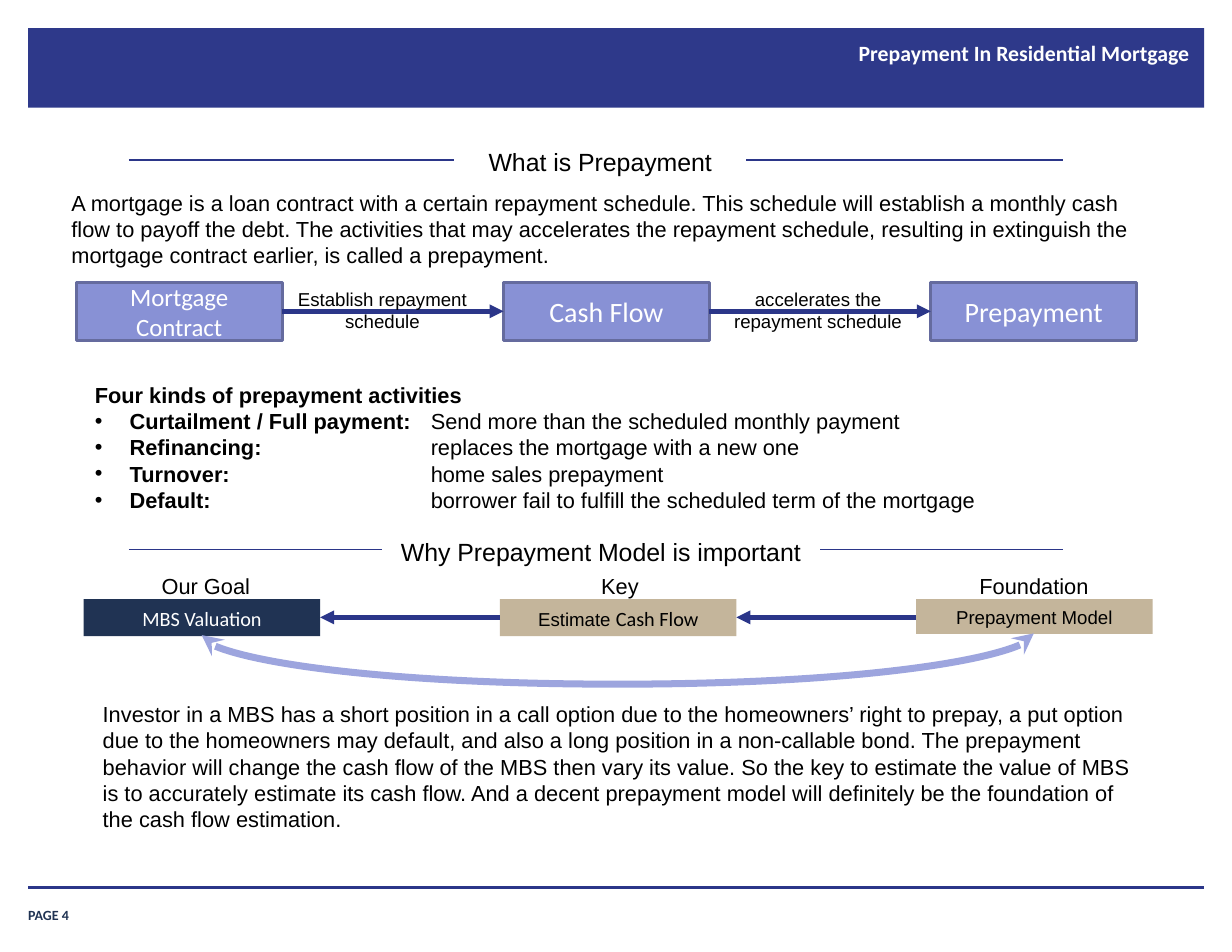
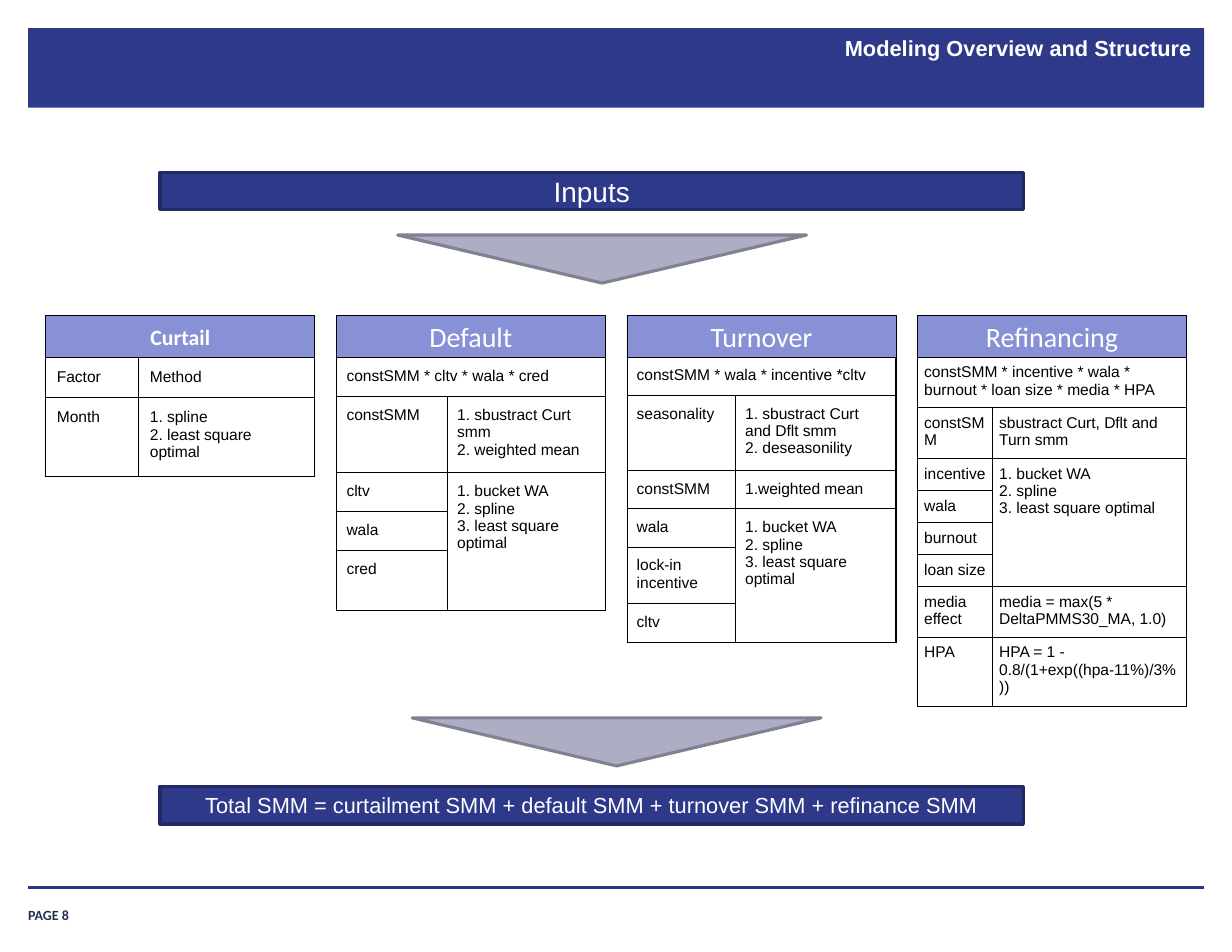
from dataclasses import dataclass
from typing import NamedTuple, Optional

from lxml.etree import SubElement
from pptx import Presentation
from pptx.dml.color import RGBColor as Rgb
from pptx.enum.shapes import MSO_CONNECTOR as Link, MSO_SHAPE as Kind
from pptx.enum.text import MSO_ANCHOR as Anchor, PP_ALIGN as Align
from pptx.oxml.ns import qn
from pptx.util import Cm, Pt


@dataclass(frozen=True)
class Theme:
    band: str = "2E398A"
    rule: str = "2B3689"
    edge: str = "222A66"
    navy: str = "203353"
    lilac: str = "8891D5"
    slate: str = "656B9E"
    arc: str = "9DA5DE"
    sand: str = "C4B59B"
    gray: str = "ADAEC4"
    rim: str = "808191"
    white: str = "FFFFFF"
    black: str = "000000"
    sans: str = "Arial"
    alt: str = "Calibri"
    tiny: float = 9
    cell: float = 10
    note: float = 12
    tag: float = 13
    body: float = 14
    head: float = 16
    big: float = 18


T = Theme()


class Area(NamedTuple):
    x: float
    y: float
    w: float
    h: float

    def emu(self) -> list:
        return [Cm(v) for v in self]


class Look(NamedTuple):
    fill: str
    line: Optional[str] = None
    width: float = 2


class Grid(NamedTuple):
    name: str
    size: float
    bold: bool
    left: float
    inset: float
    rows: list  # height, left cell, right cell (None joins the one above)


PLAIN = (0.25, 0.13)
WIDE = (0.28, 0.15)


# Text: a string holds lines; a list holds lines made of (text, changes) runs
def write(frame, text, *, font=T.sans, size=T.body, color=T.black, bold=False,
          align=Align.LEFT, anchor=Anchor.TOP, inset=PLAIN, bullet=0, tab=0):
    frame.word_wrap = True
    frame.vertical_anchor = anchor
    frame.margin_left = frame.margin_right = Cm(inset[0])
    frame.margin_top = frame.margin_bottom = Cm(inset[1])
    lines = text if isinstance(text, list) else [[(s, {})] for s in text.split("\n")]
    base = dict(font=font, size=size, color=color, bold=bold)
    for i, runs in enumerate(lines):
        para = frame.paragraphs[0] if i == 0 else frame.add_paragraph()
        para.alignment = align
        if bullet and i:
            mark(para, bullet, tab)
        for part, extra in runs:
            run, fmt = para.add_run(), {**base, **extra}
            run.text = part
            run.font.name, run.font.size = fmt["font"], Pt(fmt["size"])
            run.font.bold = fmt["bold"]
            run.font.color.rgb = Rgb.from_string(fmt["color"])


def mark(para, indent: float, tab: float):
    props = para._p.get_or_add_pPr()
    props.set("marL", str(Cm(indent)))
    props.set("indent", str(-Cm(indent)))
    SubElement(props, qn("a:buFont"), typeface=T.sans)
    SubElement(props, qn("a:buChar"), char="•")
    tabs = SubElement(props, qn("a:tabLst"))
    SubElement(tabs, qn("a:tab"), pos=str(Cm(tab)), algn="l")


def label(slide, area: Area, text, **fmt):
    write(slide.shapes.add_textbox(*area.emu()).text_frame, text, **fmt)


# Shapes and lines
def box(slide, area: Area, look: Look, text="", kind=Kind.RECTANGLE, **fmt):
    shape = slide.shapes.add_shape(kind, *area.emu())
    shape.shadow.inherit = False
    shape.fill.solid()
    shape.fill.fore_color.rgb = Rgb.from_string(look.fill)
    if look.line:
        shape.line.color.rgb = Rgb.from_string(look.line)
        shape.line.width = Pt(look.width)
    else:
        shape.line.fill.background()
    if text:
        write(shape.text_frame, text, **{"align": Align.CENTER, **fmt})
    return shape


def line(slide, start, end, width: float, color=T.rule, kind=Link.STRAIGHT,
         head="", tail=""):
    link = slide.shapes.add_connector(kind, *[Cm(v) for v in (*start, *end)])
    link.line.color.rgb = Rgb.from_string(color)
    link.line.width = Pt(width)
    props = link.element.spPr
    for tag, tip in (("a:headEnd", head), ("a:tailEnd", tail)):
        if tip:
            SubElement(props.find(qn("a:ln")), qn(tag), type=tip)
    SubElement(props, qn("a:effectLst"))
    return link


def arrow(slide, x1: float, x2: float, y: float):
    line(slide, (x1, y), (x2, y), 3, tail="triangle")


def bow(slide):
    # A curve turned a quarter, so its bend hangs below both ends
    link = line(slide, (13.99, 4.95), (14.03, 23.82), 4.5, T.arc, Link.CURVE,
                "stealth", "stealth")
    props = link.element.spPr
    props.find(qn("a:xfrm")).set("rot", "5400000")
    geom = props.find(qn("a:prstGeom"))
    bends = geom.find(qn("a:avLst"))
    if bends is None:
        bends = SubElement(geom, qn("a:avLst"))
    SubElement(bends, qn("a:gd"), name="adj1", fmla="val 2880200")


# Tables
def frame_cell(cell):
    cell.fill.background()
    props = cell._tc.get_or_add_tcPr()
    for i, side in enumerate(("a:lnL", "a:lnR", "a:lnT", "a:lnB")):
        edge = SubElement(props, qn(side), w=str(Pt(0.75)))
        fill = SubElement(edge, qn("a:solidFill"))
        SubElement(fill, qn("a:srgbClr"), val=T.black)
        props.insert(i, edge)


def card(slide, x: float, grid: Grid):
    wide, top = 6.1, 8.1
    box(slide, Area(x, 7.16, wide, 0.94), Look(T.lilac, T.black, 0.5), grid.name,
        font=T.alt, size=grid.size, color=T.white, bold=grid.bold,
        anchor=Anchor.MIDDLE)
    high = sum(row[0] for row in grid.rows)
    table = slide.shapes.add_table(len(grid.rows), 2,
                                   *Area(x, top, wide, high).emu()).table
    table.first_row = table.horz_banding = False
    table.columns[0].width = Cm(grid.left)
    table.columns[1].width = Cm(wide - grid.left)
    spans = {}
    start = 0
    for r, (tall, *texts) in enumerate(grid.rows):
        table.rows[r].height = Cm(tall)
        for c in range(2):
            cell = table.cell(r, c)
            frame_cell(cell)
            if c < len(texts) and texts[c]:
                write(cell.text_frame, texts[c], size=T.cell)
                cell.margin_left = cell.margin_right = Cm(grid.inset)
                cell.margin_top = cell.margin_bottom = Cm(grid.inset)
        if len(texts) == 1:
            table.cell(r, 0).merge(table.cell(r, 1))
        elif texts[1]:
            start = r
        else:
            spans[start] = r
    for first, last in spans.items():
        table.cell(first, 1).merge(table.cell(last, 1))


# Shared page: band, title, footer
def page(deck, number: int, title: str, area: Area, font: str):
    slide = deck.slides.add_slide(deck.slide_layouts[6])
    box(slide, Area(0.64, 0.64, 26.67, 1.8), Look(T.band))
    label(slide, Area(0.64, 20.37, 2.31, 0.58), f"PAGE {number}", font=T.alt,
          size=T.tiny, color=T.navy, bold=True, anchor=Anchor.BOTTOM, inset=(0, 0))
    line(slide, (0.64, 20.12), (27.31, 20.12), 2)
    label(slide, area, title, font=font, color=T.white, bold=True,
          align=Align.RIGHT, inset=WIDE)
    return slide


def section(slide, x: float, y: float, wide: float, text: str):
    line(slide, (2.92, y + 0.43), (24.1, y + 0.43), 0.75)
    box(slide, Area(x, y, wide, 0.94), Look(T.white, T.white), text, size=T.head)


LOAN = ("A mortgage is a loan contract with a certain repayment schedule. This schedule "
        "will establish a monthly cash flow to payoff the debt. The activities that may "
        "accelerates the repayment schedule, resulting in extinguish the mortgage contract "
        "earlier, is called a prepayment.")
VALUE = ("Investor in a MBS has a short position in a call option due to the homeowners’ "
         "right to prepay, a put option due to the homeowners may default, and also a long "
         "position in a non-callable bond. The prepayment behavior will change the cash flow "
         "of the MBS then vary its value. So the key to estimate the value of MBS is to "
         "accurately estimate its cash flow. And a decent prepayment model will definitely "
         "be the foundation of the cash flow estimation.")
KINDS = [("Curtailment / Full payment:", "Send more than the scheduled monthly payment"),
         ("Refinancing:", "replaces the mortgage with a new one"),
         ("Turnover:", "home sales prepayment"),
         ("Default:", "borrower fail to fulfill the scheduled term of the mortgage")]
FLOW = [("Mortgage Contract", T.head), ("Cash Flow", T.big), ("Prepayment", T.big)]
STEPS = ["Establish repayment schedule", "accelerates the repayment schedule"]
CHAIN = [
    ("Our Goal", T.navy, 0.84,
     [("MBS Valuation", dict(font=T.alt, size=T.tag, color=T.white))]),
    ("Key", T.sand, 0.84,
     [("Estimate ", {}), ("Cash Flow", dict(font=T.alt, size=T.tag))]),
    ("Foundation", T.sand, 0.79, [("Prepayment Model", {})]),
]
FIT = "1. bucket WA\n2. spline\n3. least square optimal"
GRIDS = [
    Grid("Curtail", T.body, True, 2.11, 0.25, [
        (0.91, "Factor", "Method"),
        (1.7, "Month", "1. spline\n2. least square optimal")]),
    Grid("Default", T.big, False, 2.51, 0.23, [
        (0.88, "constSMM * cltv * wala * cred"),
        (1.63, "constSMM", "1. sbustract Curt smm\n2. weighted mean"),
        (0.84, "cltv", FIT), (0.84, "wala", None), (1.36, "cred", None)]),
    Grid("Turnover", T.big, False, 2.46, 0.22, [
        (0.79, "constSMM * wala * incentive *cltv"),
        (1.63, "seasonality", "1. sbustract Curt and Dflt smm\n2. deseasonility"),
        (0.82, "constSMM", "1.weighted mean"),
        (0.83, "wala", FIT), (1.2, "lock-in incentive", None), (0.84, "cltv", None)]),
    Grid("Refinancing", T.big, False, 1.7, 0.15, [
        (1.07, "constSMM * incentive * wala * burnout * loan size * media * HPA"),
        (1.07, "constSMM", "sbustract Curt, Dflt and Turn smm"),
        (0.69, "incentive", FIT), (0.69, "wala", None), (0.69, "burnout", None),
        (0.69, "loan size", None),
        (1.07, "media effect", "media = max(5 * DeltaPMMS30_MA, 1.0)"),
        (1.47, "HPA", "HPA = 1 - 0.8/(1+exp((hpa-11%)/3%))")]),
]


def basics(deck):
    slide = page(deck, 4, "Prepayment In Residential Mortgage",
                 Area(7.04, 0.76, 20.22, 1.78), T.alt)
    label(slide, Area(2.08, 15.77, 23.9, 3.25), VALUE)
    section(slide, 10.34, 3.2, 6.55, "What is Prepayment")
    label(slide, Area(1.37, 4.17, 24.77, 2.06), LOAN)

    # Contract to prepayment
    wide, gap = 4.67, 9.69
    for i, (name, size) in enumerate(FLOW):
        box(slide, Area(1.73 + gap * i, 6.4, wide, 1.32), Look(T.lilac, T.slate), name,
            font=T.alt, size=size, color=T.white, anchor=Anchor.MIDDLE)
    for i, step in enumerate(STEPS):
        x = 1.73 + gap * i
        arrow(slide, x + wide, x + gap, 7.06)
        label(slide, Area(6.4 + 9.88 * i, 6.4, 4.55, 1.27), step, size=T.note,
              align=Align.CENTER)

    # Kinds of prepayment
    lines = [[("Four kinds of prepayment activities", dict(bold=True))]]
    lines += [[(name, dict(bold=True)), ("\t" + what, {})] for name, what in KINDS]
    label(slide, Area(1.9, 8.53, 24.23, 3.25), lines, bullet=0.79, tab=7.62)

    # Goal, key and foundation
    section(slide, 8.69, 12.04, 9.88, "Why Prepayment Model is important")
    wide, gap = 5.36, 9.44
    for i, (name, fill, tall, runs) in enumerate(CHAIN):
        x = 1.9 + gap * i
        box(slide, Area(x, 13.59, wide, tall), Look(fill), [runs], size=T.note,
            inset=WIDE)
        label(slide, Area(2.69 + 9.39 * i, 12.85, 3.96, 0.86), name, align=Align.CENTER)
        if i:
            arrow(slide, x, x - gap + wide, 14)
    bow(slide)


def model(deck):
    slide = page(deck, 8, "Modeling Overview and Structure",
                 Area(8.41, 0.64, 18.9, 1.88), T.sans)
    bar = Look(T.band, T.edge)
    box(slide, Area(3.63, 3.91, 19.58, 0.84), bar, "Inputs", size=T.big, color=T.white,
        anchor=Anchor.MIDDLE)
    for i, grid in enumerate(GRIDS):
        card(slide, 1.04 + 6.59 * i, grid)
    box(slide, Area(3.63, 17.83, 19.58, 0.86), bar,
        "Total SMM = curtailment SMM + default SMM + turnover SMM + refinance SMM",
        color=T.white)
    for x, y in ((9.02, 5.33), (9.35, 16.28)):
        wedge = box(slide, Area(x, y, 9.27, 1.09), Look(T.gray, T.rim),
                    kind=Kind.ISOSCELES_TRIANGLE)
        wedge.rotation = 180


def main():
    deck = Presentation()
    deck.slide_width, deck.slide_height = Cm(27.94), Cm(21.59)
    basics(deck)
    model(deck)
    deck.save("out.pptx")


if __name__ == "__main__":
    main()
